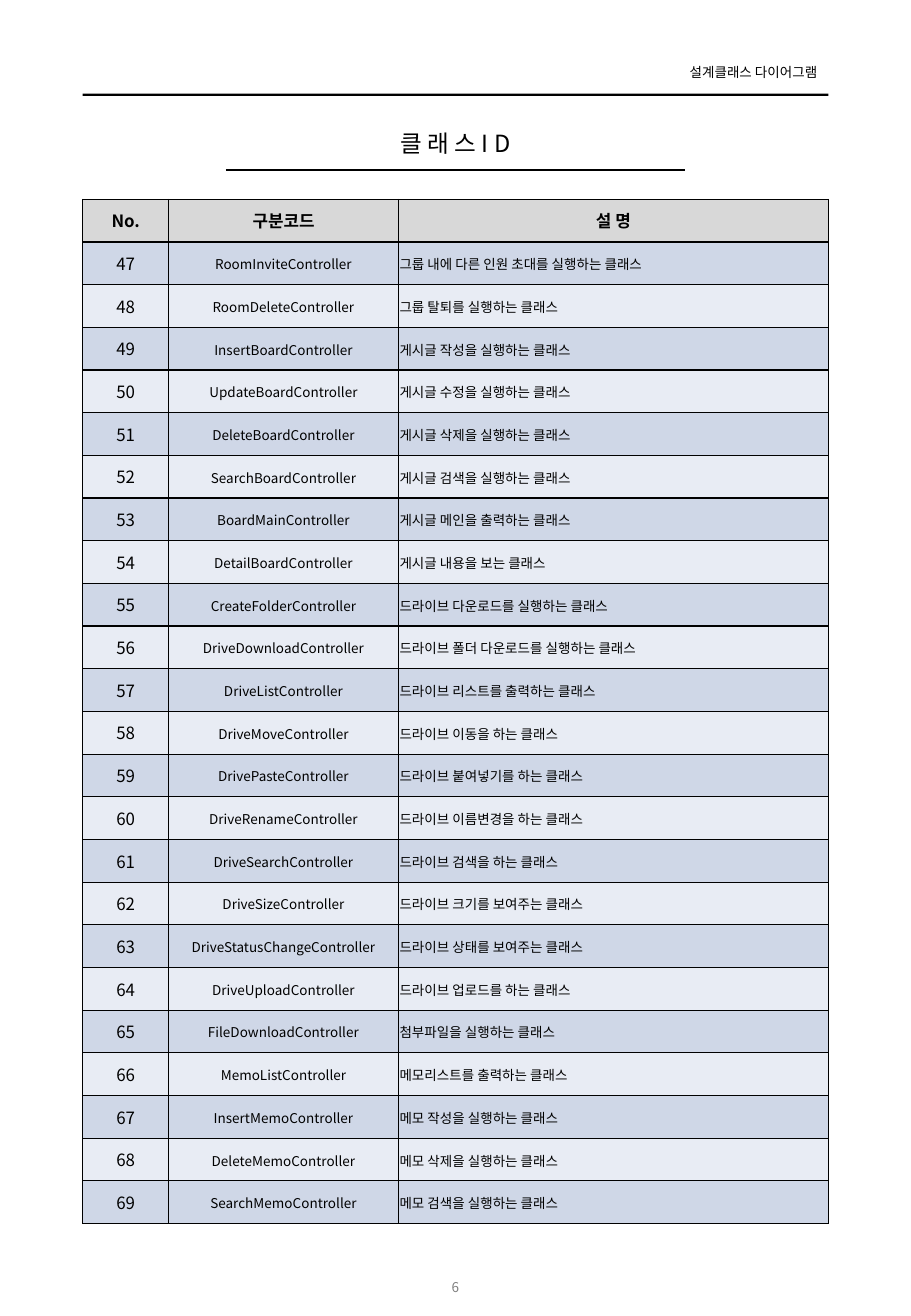
from lxml.etree import SubElement
from pptx import Presentation
from pptx.dml.color import RGBColor
from pptx.enum.shapes import MSO_CONNECTOR, MSO_SHAPE
from pptx.enum.text import MSO_ANCHOR, PP_ALIGN
from pptx.oxml.ns import qn
from pptx.util import Inches, Pt

FONT = "Noto Sans CJK KR"
BLACK = RGBColor(0x00, 0x00, 0x00)
PAGE_GRAY = RGBColor(0x7F, 0x7F, 0x7F)
HEADER_GRAY = RGBColor(0xD8, 0xD8, 0xD8)
BAND_DARK = RGBColor(0xCF, 0xD7, 0xE7)
BAND_LIGHT = RGBColor(0xE8, 0xEC, 0xF4)
LEFT, WIDTH = 0.68, 6.14
FIRST_NUMBER = 47
COLUMN_WIDTHS = [0.71, 1.89, 3.54]

CLASSES = [
    ("RoomInviteController", "그룹 내에 다른 인원 초대를 실행하는 클래스"),
    ("RoomDeleteController", "그룹 탈퇴를 실행하는 클래스"),
    ("InsertBoardController", "게시글 작성을 실행하는 클래스"),
    ("UpdateBoardController", "게시글 수정을 실행하는 클래스"),
    ("DeleteBoardController", "게시글 삭제을 실행하는 클래스"),
    ("SearchBoardController", "게시글 검색을 실행하는 클래스"),
    ("BoardMainController", "게시글 메인을 출력하는 클래스"),
    ("DetailBoardController", "게시글 내용을 보는 클래스"),
    ("CreateFolderController", "드라이브 다운로드를 실행하는 클래스"),
    ("DriveDownloadController", "드라이브 폴더 다운로드를 실행하는 클래스"),
    ("DriveListController", "드라이브 리스트를 출력하는 클래스"),
    ("DriveMoveController", "드라이브 이동을 하는 클래스"),
    ("DrivePasteController", "드라이브 붙여넣기를 하는 클래스"),
    ("DriveRenameController", "드라이브 이름변경을 하는 클래스"),
    ("DriveSearchController", "드라이브 검색을 하는 클래스"),
    ("DriveSizeController", "드라이브 크기를 보여주는 클래스"),
    ("DriveStatusChangeController", "드라이브 상태를 보여주는 클래스"),
    ("DriveUploadController", "드라이브 업로드를 하는 클래스"),
    ("FileDownloadController", "첨부파일을 실행하는 클래스"),
    ("MemoListController", "메모리스트를 출력하는 클래스"),
    ("InsertMemoController", "메모 작성을 실행하는 클래스"),
    ("DeleteMemoController", "메모 삭제을 실행하는 클래스"),
    ("SearchMemoController", "메모 검색을 실행하는 클래스"),
]


def write(frame, text, size, align, color=BLACK, bold=False):
    frame.text = text
    para = frame.paragraphs[0]
    para.alignment = align
    span = para.runs[0]
    span.font.name = FONT
    span.font.size = Pt(size)
    span.font.bold = bold
    span.font.color.rgb = color
    SubElement(span.font._element, qn("a:ea"), typeface=FONT)


def add_label(place, text, size, align, color=BLACK, side_margins=(0.1, 0.1), anchor=MSO_ANCHOR.TOP):
    frame = page.shapes.add_textbox(*map(Inches, place)).text_frame
    frame.word_wrap = True
    frame.vertical_anchor = anchor
    frame.margin_left, frame.margin_right = map(Inches, side_margins)
    write(frame, text, size, align, color)


deck = Presentation()
deck.slide_width, deck.slide_height = Inches(7.5), Inches(10.83)
page = deck.slides.add_slide(deck.slide_layouts[6])

header_bar = page.shapes.add_shape(
    MSO_SHAPE.RECTANGLE, Inches(LEFT), Inches(0.77), Inches(WIDTH), Inches(0.02))
header_bar.shadow.inherit = False
header_bar.fill.solid()
header_bar.fill.fore_color.rgb = BLACK
header_bar.line.fill.background()

title_line = page.shapes.add_connector(
    MSO_CONNECTOR.STRAIGHT, Inches(1.86), Inches(1.4), Inches(5.64), Inches(1.4))
title_line.line.color.rgb = BLACK
title_line.line.width = Pt(1)
SubElement(title_line._element.spPr, qn("a:effectLst"))

add_label((5.47, 0.48, 1.34, 0.24), "설계클래스 다이어그램", 8, PP_ALIGN.RIGHT, side_margins=(0.1, 0.08))
add_label((LEFT, 1.01, WIDTH, 0.34), "클 래 스 I D", 14, PP_ALIGN.CENTER, side_margins=(0, 0))
add_label((3.28, 10.39, 0.94, 0.4), "6", 8, PP_ALIGN.CENTER, PAGE_GRAY, anchor=MSO_ANCHOR.MIDDLE)

rows = [("No.", "구분코드", "설 명")]
rows += [(str(number), *entry) for number, entry in enumerate(CLASSES, FIRST_NUMBER)]
table = page.shapes.add_table(
    len(rows), len(COLUMN_WIDTHS), Inches(LEFT), Inches(1.64), Inches(WIDTH), Inches(8.43)).table
for column, width in zip(table.columns, COLUMN_WIDTHS):
    column.width = Inches(width)

for row_index, row in enumerate(rows):
    is_header = row_index == 0
    band = HEADER_GRAY if is_header else (BAND_LIGHT, BAND_DARK)[row_index % 2]
    for column_index, text in enumerate(row):
        cell = table.cell(row_index, column_index)
        is_detail = not is_header and column_index > 0
        align = PP_ALIGN.LEFT if is_detail and column_index == 2 else PP_ALIGN.CENTER
        write(cell.text_frame, text, 8 if is_detail else 10, align, bold=is_header)
        cell.vertical_anchor = MSO_ANCHOR.MIDDLE
        if is_detail:
            cell.margin_left = cell.margin_right = cell.margin_top = Inches(0.01)
            cell.margin_bottom = 0
        properties = cell._tc.get_or_add_tcPr()
        for side in ("a:lnL", "a:lnR", "a:lnT", "a:lnB"):
            border = SubElement(properties, qn(side), w=str(Pt(0.75)))
            border_fill = SubElement(border, qn("a:solidFill"))
            SubElement(border_fill, qn("a:srgbClr"), val=str(BLACK))
        cell.fill.solid()
        cell.fill.fore_color.rgb = band

deck.save("out.pptx")
